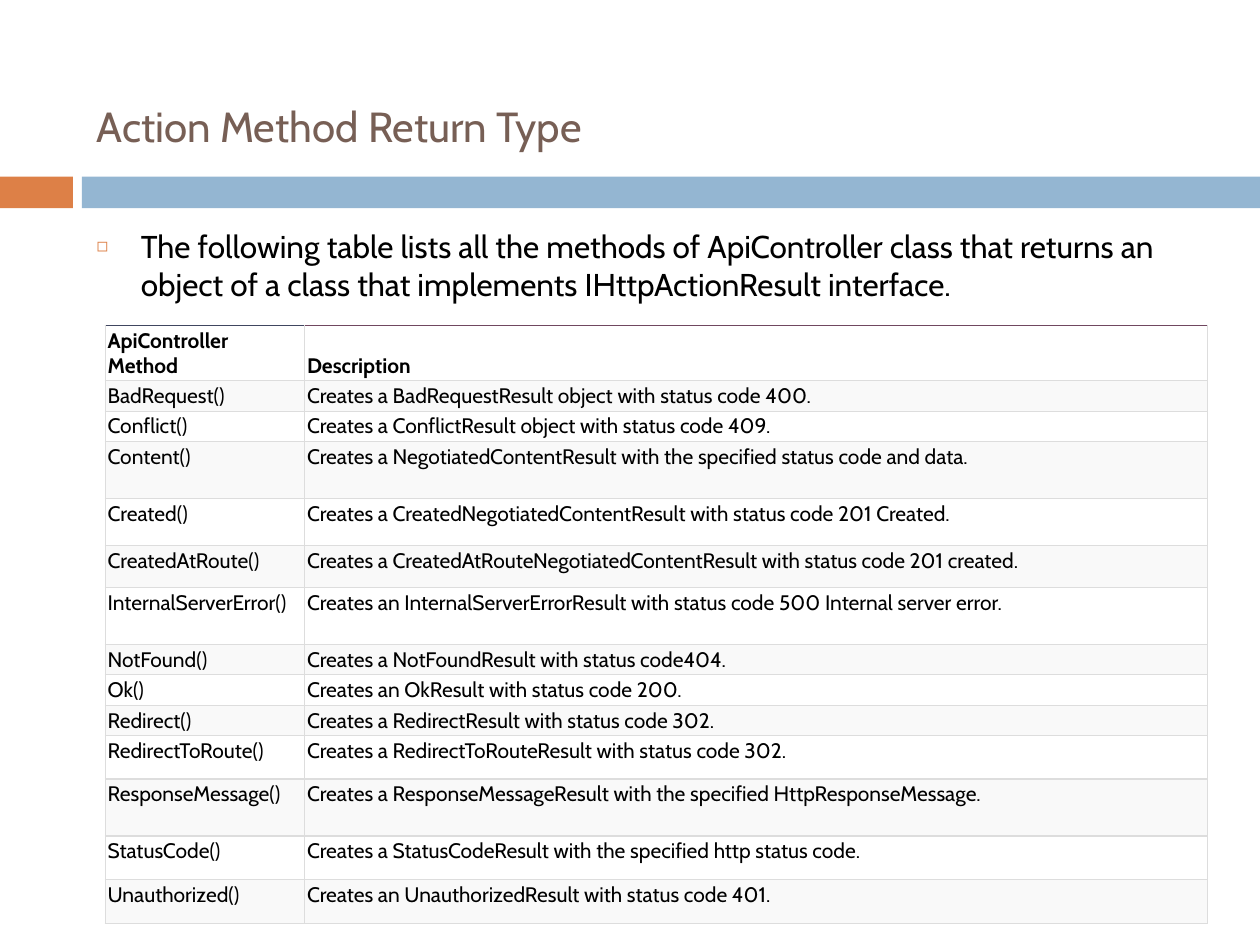
"""Build the slide on action method return types."""
from dataclasses import dataclass

from lxml.etree import SubElement as Sub
from pptx import Presentation
from pptx.dml.color import RGBColor as Rgb
from pptx.enum.shapes import MSO_SHAPE as Kind
from pptx.enum.text import MSO_ANCHOR as Anchor
from pptx.oxml.ns import qn
from pptx.util import Cm, Pt

HUES = {
    "orange": "DD8047", "blue": "94B6D2", "brown": "775F55", "black": "000000",
    "white": "FFFFFF", "pale": "F9F9F9", "grid": "DDDDDD",
    "slate": "404660", "plum": "704760",
}
FONT = "Cabin"
PAD = Cm(0.05)


@dataclass
class Box:
    left: float
    top: float
    width: float
    height: float

    def cm(self) -> tuple:
        return Cm(self.left), Cm(self.top), Cm(self.width), Cm(self.height)


@dataclass
class Row:
    name: str
    note: str
    height: float


BARS = [(Box(0, 3.56, 1.47, 0.64), "orange"), (Box(1.65, 3.56, 23.75, 0.64), "blue")]
TITLE = Box(1.7, 0.64, 22.66, 2.74)
BODY = Box(1.7, 4.45, 22.66, 12.5)
GRID = Box(2.12, 6.56, 22.23, 11.56)
COLS = (4.02, 18.21)
ROWS = [
    Row("ApiController Method", "Description", 0.43),
    Row("BadRequest()", "Creates a BadRequestResult object with status code 400.", 0.61),
    Row("Conflict()", "Creates a ConflictResult object with status code 409.", 0.61),
    Row("Content()", "Creates a NegotiatedContentResult with the specified status code and data.", 1.15),
    Row("Created()", "Creates a CreatedNegotiatedContentResult with status code 201 Created.", 0.95),
    Row("CreatedAtRoute()", "Creates a CreatedAtRouteNegotiatedContentResult with status code 201 created.", 0.85),
    Row("InternalServerError()", "Creates an InternalServerErrorResult with status code 500 Internal server error.", 1.15),
    Row("NotFound()", "Creates a NotFoundResult with status code404.", 0.61),
    Row("Ok()", "Creates an OkResult with status code 200.", 0.61),
    Row("Redirect()", "Creates a RedirectResult with status code 302.", 0.61),
    Row("RedirectToRoute()", "Creates a RedirectToRouteResult with status code 302.", 0.88),
    Row("ResponseMessage()", "Creates a ResponseMessageResult with the specified HttpResponseMessage.", 1.15),
    Row("StatusCode()", "Creates a StatusCodeResult with the specified http status code.", 0.88),
    Row("Unauthorized()", "Creates an UnauthorizedResult with status code 401.", 0.88),
]


def tint(name: str) -> Rgb:
    return Rgb.from_string(HUES[name])


def write(frame, text: str, size: float = 12, hue: str = "black", bold: bool = False,
          before: float = 0):
    para = frame.paragraphs[0]
    para.space_before = Pt(before)
    run = para.add_run()
    run.text = text
    font = run.font
    font.name, font.size, font.bold = FONT, Pt(size), bold
    font.color.rgb = tint(hue)
    return para


def add_bar(slide, box: Box, hue: str) -> None:
    bar = slide.shapes.add_shape(Kind.RECTANGLE, *box.cm())
    bar.shadow.inherit = False
    bar.fill.solid()
    bar.fill.fore_color.rgb = tint(hue)
    bar.line.fill.background()


def add_text(slide, box: Box, text: str, **form):
    frame = slide.shapes.add_textbox(*box.cm()).text_frame
    frame.word_wrap = True
    return frame, write(frame, text, **form)


def add_mark(para, hue: str) -> None:
    props = para._p.get_or_add_pPr()
    props.set("marL", str(Cm(0.89)))
    props.set("indent", str(-Cm(0.89)))
    Sub(Sub(props, qn("a:buClr")), qn("a:srgbClr"), val=HUES[hue])
    Sub(props, qn("a:buSzPct"), val="60000")
    Sub(props, qn("a:buFont"), typeface=FONT)
    Sub(props, qn("a:buChar"), char="◻")


def add_edges(cell, top: str) -> None:
    props = cell._tc.get_or_add_tcPr()
    sides = {"L": "grid", "R": "grid", "T": top, "B": "grid"}
    for spot, (side, hue) in enumerate(sides.items()):
        line = Sub(props, qn(f"a:ln{side}"), w=str(Pt(0.75)))
        Sub(Sub(line, qn("a:solidFill")), qn("a:srgbClr"), val=HUES[hue])
        props.insert(spot, line)


def fill_cell(cell, text: str, fill: str, top: str, head: bool) -> None:
    cell.margin_left = cell.margin_right = PAD
    cell.margin_top = cell.margin_bottom = PAD
    cell.vertical_anchor = Anchor.BOTTOM if head else Anchor.TOP
    cell.fill.solid()
    cell.fill.fore_color.rgb = tint(fill)
    add_edges(cell, top)
    write(cell.text_frame, text, bold=head)


def add_grid(slide, box: Box, rows: list[Row]) -> None:
    table = slide.shapes.add_table(len(rows), len(COLS), *box.cm()).table
    table.first_row = table.horz_banding = False
    for col, width in zip(table.columns, COLS):
        col.width = Cm(width)
    for i, row in enumerate(rows):
        table.rows[i].height = Cm(row.height)
        tops = ("grid", "grid") if i else ("slate", "plum")
        for j, text in enumerate((row.name, row.note)):
            fill_cell(table.cell(i, j), text, "pale" if i % 2 else "white", tops[j], i == 0)


def main() -> None:
    deck = Presentation()
    deck.slide_width, deck.slide_height = Cm(25.4), Cm(19.05)
    slide = deck.slides.add_slide(deck.slide_layouts[6])
    for box, hue in BARS:
        add_bar(slide, box, hue)
    frame, _ = add_text(slide, TITLE, "Action Method Return Type", size=24, hue="brown")
    frame.vertical_anchor = Anchor.BOTTOM
    frame.margin_bottom = Cm(0.33)
    _, para = add_text(
        slide, BODY,
        "The following table lists all the methods of ApiController class that returns "
        "an object of a class that implements IHttpActionResult interface.",
        size=18, before=7)
    add_mark(para, "orange")
    add_grid(slide, GRID, ROWS)
    deck.save("out.pptx")


if __name__ == "__main__":
    main()
